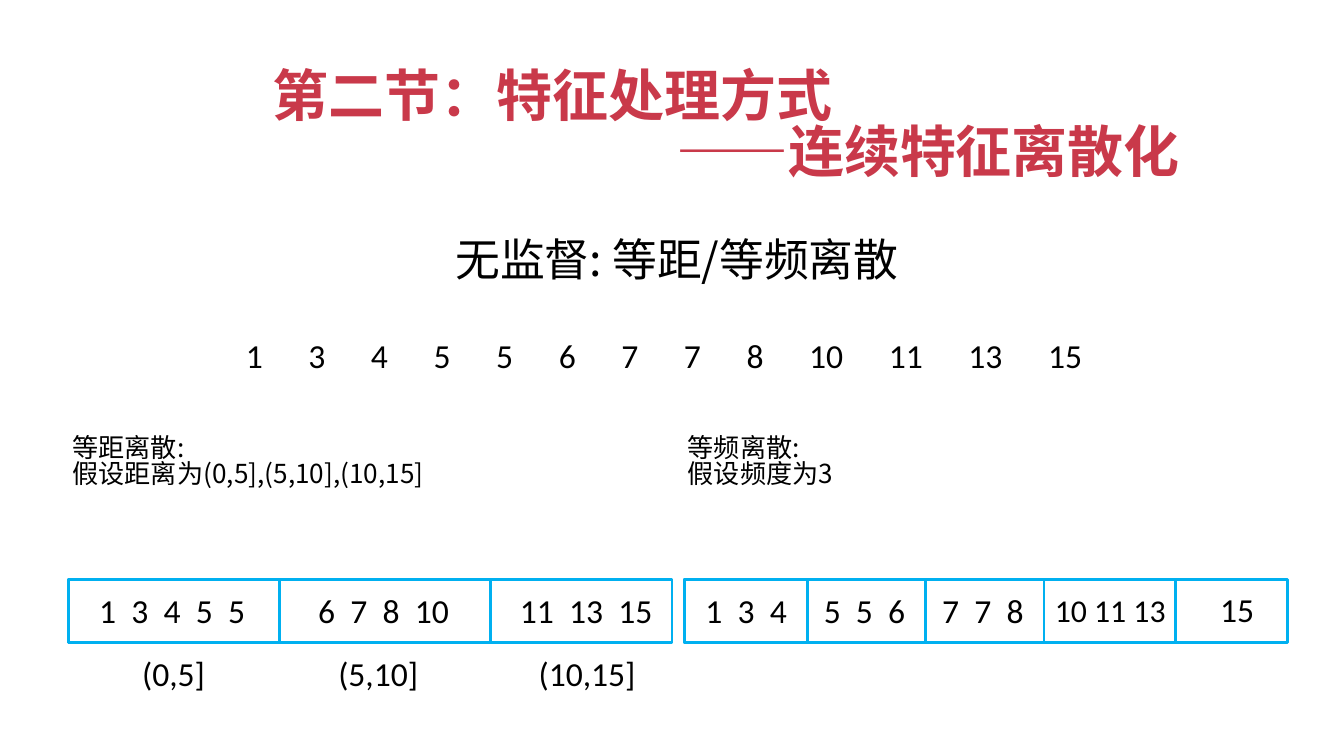
from lxml import etree
from pptx import Presentation
from pptx.dml.color import RGBColor
from pptx.enum.shapes import MSO_SHAPE
from pptx.enum.text import MSO_ANCHOR, MSO_AUTO_SIZE, PP_ALIGN
from pptx.oxml.ns import qn
from pptx.util import Pt

RED = RGBColor(0xC9, 0x39, 0x4A)
BLACK = RGBColor(0, 0, 0)
BLUE = RGBColor(0x00, 0xB0, 0xF0)
CJK, LATIN = "Noto Sans CJK SC", "Calibri"
RECT = MSO_SHAPE.RECTANGLE
LEFT, TOP = PP_ALIGN.LEFT, MSO_ANCHOR.TOP
NO_AUTOFIT = MSO_AUTO_SIZE.NONE
DIGIT, SPACE = 0.507, 0.226  # Calibri advance widths, in ems

ROW_TOP, ROW_H, ROW_W = 310.3, 33.8, 323.3
CELL_TEXT_TOP = 312.5


class SlideBuilder:
    def __init__(self, slide):
        self.s = slide

    def format_text(self, tf, size, font, color=BLACK, bold=False):
        tf.word_wrap = True
        tf.auto_size = NO_AUTOFIT
        tf.vertical_anchor = TOP
        if font == CJK:
            tf.margin_top = Pt(3.6 + 0.09 * size)
        for p in tf.paragraphs:
            p.alignment = LEFT
            if font == CJK:
                p.line_spacing = 0.83
            for r in p.runs:
                r.font.size = Pt(size)
                r.font.name = font
                r.font.bold = bold
                r.font.color.rgb = color
                ea = etree.SubElement(r.font._element, qn("a:ea"))
                ea.set("typeface", font)

    def title(self, text, x, y, w, h, indent):
        """Fill the title; its second line is indented."""
        sp = self.s.shapes.title
        sp.left, sp.top, sp.width, sp.height = Pt(x), Pt(y), Pt(w), Pt(h)
        tf = sp.text_frame
        tf.text = text
        self.format_text(tf, 30, CJK, RED, True)
        pPr = tf.paragraphs[1]._p.get_or_add_pPr()
        pPr.set("marL", str(Pt(indent)))
        pPr.set("indent", "0")

    def text(self, text, x, y, w, h=28.8, size=18, font=LATIN):
        sp = self.s.shapes.add_textbox(Pt(x), Pt(y), Pt(w), Pt(h))
        sp.text_frame.text = text
        self.format_text(sp.text_frame, size, font)
        return sp

    def numbers(self, values, x, y, w, spaces=2, size=18):
        """Numbers on one line, set apart by tab stops of equal gaps."""
        words = values.split()
        sp = self.text("\t".join(words), x, y, w, size=size)
        pPr = sp.text_frame.paragraphs[0]._p.get_or_add_pPr()
        tabs = etree.SubElement(pPr, qn("a:tabLst"))
        pos = 0
        for word in words[:-1]:
            pos += (len(word) * DIGIT + spaces * SPACE) * size
            tab = etree.SubElement(tabs, qn("a:tab"))
            tab.set("pos", str(Pt(pos)))
            tab.set("algn", "l")

    def box(self, x, w):
        sp = self.s.shapes.add_shape(RECT, Pt(x), Pt(ROW_TOP), Pt(w), Pt(ROW_H))
        sp.shadow.inherit = False
        sp.fill.background()
        sp.line.color.rgb = BLUE
        sp.line.width = Pt(1.5)

    def cell_row(self, x, widths):
        """A frame divided by cells; the rest of the frame is the last cell."""
        self.box(x, ROW_W)
        for w in widths:
            self.box(x, w)
            x += w


def main():
    prs = Presentation()
    prs.slide_width, prs.slide_height = Pt(720), Pt(405)
    b = SlideBuilder(prs.slides.add_slide(prs.slide_layouts[5]))

    b.title("第二节：特征处理方式\n——连续特征离散化", 139, 32.4, 509.8, 79.9, 216)
    b.text("无监督: 等距/等频离散", 236.9, 123.1, 256.3, 36, 24, CJK)
    b.numbers("1 3 4 5 5 6 7 7 8 10 11 13 15", 124.6, 175.7, 470.9, spaces=6)

    # Equal-width bins
    b.text("等距离散:\n假设距离为(0,5],(5,10],(10,15]", 31.7, 229, 205.2, 41, 14, CJK)
    b.cell_row(36.7, [113, 113])
    for values, x, w in [("1 3 4 5 5", 46.1, 93.6),
                         ("6 7 8 10", 163.4, 85.7),
                         ("11 13 15", 271.4, 86.4)]:
        b.numbers(values, x, CELL_TEXT_TOP, w)
    for interval, x, w in [("(0,5]", 69.1, 49),
                           ("(5,10]", 174.2, 57.6),
                           ("(10,15]", 281.5, 67)]:
        b.text(interval, x, 346.5, w)

    # Equal-frequency bins
    b.text("等频离散:\n假设频度为3", 361.4, 229, 93.6, 41, 14, CJK)
    b.cell_row(366.5, [66, 63.4, 63.4, 70.6])
    for i, values in enumerate(["1 3 4", "5 5 6", "7 7 8"]):
        b.numbers(values, 370.8 + i * 63.4, CELL_TEXT_TOP, 59)
    b.numbers("10 11 13", 558, 313.2, 74.9, spaces=1, size=17)
    b.text("15", 646.6, 311.8, 33.1)

    prs.save("out.pptx")


if __name__ == "__main__":
    main()
